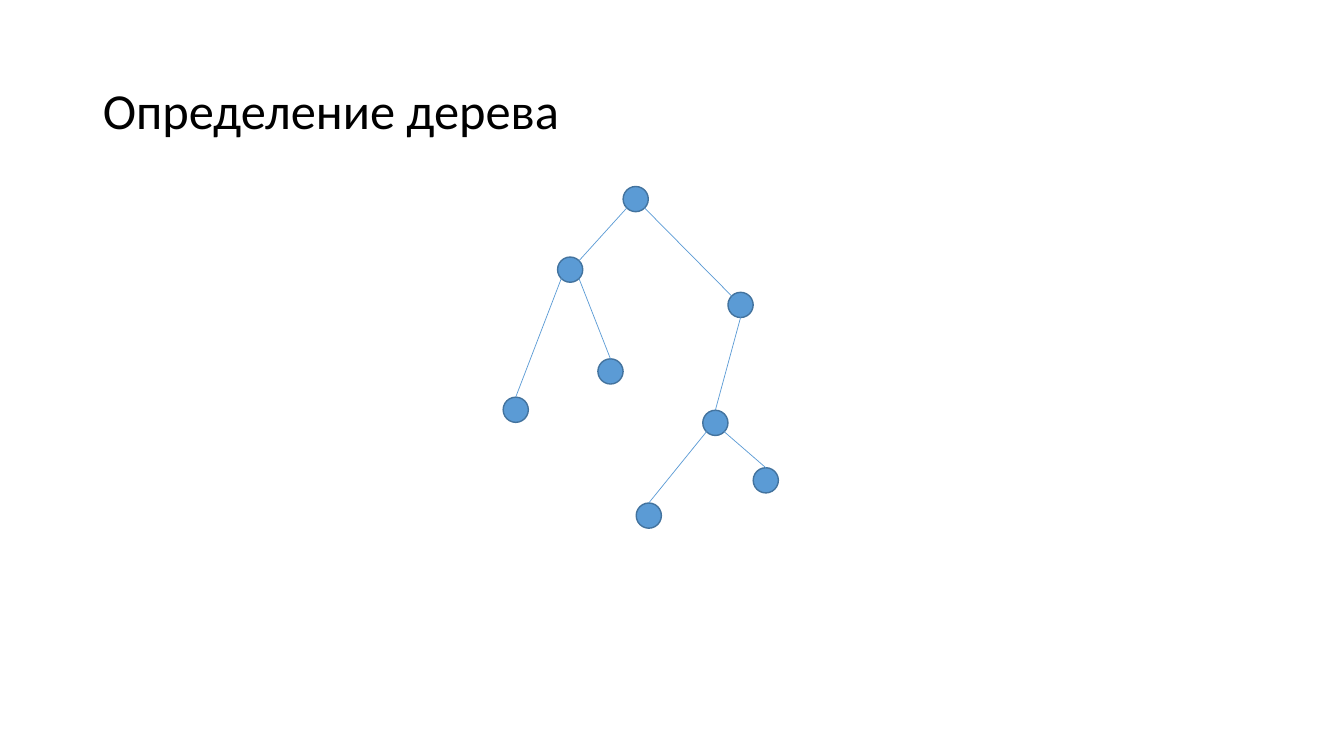
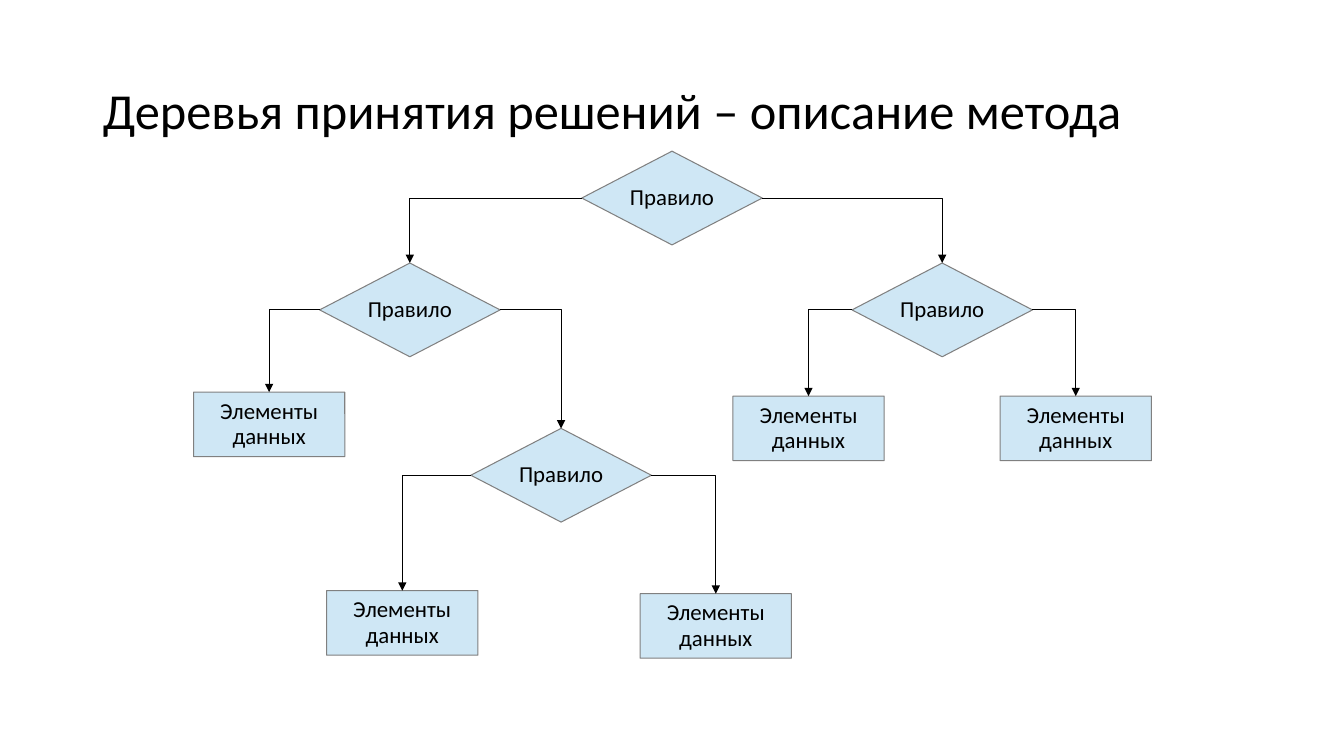
"""Build two slides: a plain tree of nodes and a decision tree."""
import lxml.etree
import pptx
import pptx.dml.color
import pptx.enum.shapes
import pptx.enum.text
import pptx.oxml.ns
import pptx.util

Inches = pptx.util.Inches
Pt = pptx.util.Pt
MSO_SHAPE = pptx.enum.shapes.MSO_SHAPE
MSO_CONNECTOR = pptx.enum.shapes.MSO_CONNECTOR
MSO_ANCHOR = pptx.enum.text.MSO_ANCHOR
PP_ALIGN = pptx.enum.text.PP_ALIGN
qn = pptx.oxml.ns.qn

FONT = "Calibri"
BLACK = "000000"
NODE_FILL, NODE_LINE = "5B9BD5", "43739E"
BOX_FILL, BOX_LINE = "CFE7F5", "808080"


def paint(item, line_colour, line_width, fill=None):
    """Set the line and fill of a shape or connector and drop its shadow."""
    item.line.color.rgb = pptx.dml.color.RGBColor.from_string(line_colour)
    item.line.width = Pt(line_width)
    if fill:
        item.fill.solid()
        item.fill.fore_color.rgb = pptx.dml.color.RGBColor.from_string(fill)
        item.shadow.inherit = False
    else:
        lxml.etree.SubElement(item._element.spPr, qn("a:effectLst"))


def write(shape, text, size, alignment, spacing):
    """Write one vertically centred paragraph into a shape."""
    frame = shape.text_frame
    frame.vertical_anchor = MSO_ANCHOR.MIDDLE
    paragraph = frame.paragraphs[0]
    paragraph.alignment = alignment
    paragraph.line_spacing = spacing
    run = paragraph.add_run()
    run.text = text
    run.font.name = FONT
    run.font.size = Pt(size)
    run.font.color.rgb = pptx.dml.color.RGBColor.from_string(BLACK)


presentation = pptx.Presentation()
presentation.slide_width = Inches(13.33)
presentation.slide_height = Inches(7.5)

slides = []
for heading in ("Определение дерева", "Деревья принятия решений – описание метода"):
    slide = presentation.slides.add_slide(presentation.slide_layouts[5])
    title = slide.shapes.title
    title.left, title.top = Inches(0.92), Inches(0.4)
    title.width, title.height = Inches(11.5), Inches(1.45)
    title.text_frame.word_wrap = True
    title.text_frame.auto_size = pptx.enum.text.MSO_AUTO_SIZE.NONE
    write(title, heading, 36, PP_ALIGN.LEFT, 0.9)
    slides.append(slide)
tree_slide, decision_slide = slides

NODE_SIZE = 0.25
nodes = {
    "root": (6.18, 1.85),
    "left": (5.53, 2.55),
    "left leaf": (4.99, 3.94),
    "middle leaf": (5.93, 3.56),
    "right": (7.22, 2.9),
    "fork": (6.97, 4.07),
    "fork left leaf": (6.31, 4.99),
    "fork right leaf": (7.47, 4.64),
}
rim_points = {
    "top": (0.5, 0),
    "bottom": (0.5, 1),
    "top left": (0.15, 0.15),
    "top right": (0.85, 0.15),
    "bottom left": (0.15, 0.85),
    "bottom right": (0.85, 0.85),
}
branches = [
    ("root", "bottom left", "left", "top right"),
    ("root", "bottom right", "right", "top left"),
    ("left", "bottom left", "left leaf", "top"),
    ("left", "bottom right", "middle leaf", "top"),
    ("right", "bottom", "fork", "top"),
    ("fork", "bottom left", "fork left leaf", "top"),
    ("fork", "bottom right", "fork right leaf", "top"),
]
for left, top in nodes.values():
    node = tree_slide.shapes.add_shape(
        MSO_SHAPE.FLOWCHART_CONNECTOR,
        Inches(left), Inches(top), Inches(NODE_SIZE), Inches(NODE_SIZE))
    paint(node, NODE_LINE, 1, NODE_FILL)
for parent, parent_side, child, child_side in branches:
    ends = []
    for name, side in ((parent, parent_side), (child, child_side)):
        for corner, share in zip(nodes[name], rim_points[side]):
            ends.append(Inches(corner + share * NODE_SIZE))
    branch = tree_slide.shapes.add_connector(MSO_CONNECTOR.STRAIGHT, *ends)
    paint(branch, NODE_FILL, 0.5)

rule_style = (MSO_SHAPE.DIAMOND, 1.79, 0.93, "Правило")
data_style = (MSO_SHAPE.ROUNDED_RECTANGLE, 1.5, 0.64, "Элементы данных")
boxes = {
    "root": (rule_style, 5.77, 1.5),
    "left rule": (rule_style, 3.17, 2.61),
    "right rule": (rule_style, 8.45, 2.61),
    "inner rule": (rule_style, 4.67, 4.25),
    "left data": (data_style, 1.92, 3.89),
    "inner left data": (data_style, 3.24, 5.86),
    "inner right data": (data_style, 6.35, 5.89),
    "right left data": (data_style, 7.27, 3.93),
    "right right data": (data_style, 9.92, 3.93),
}
decisions = {
    "root": ("left rule", "right rule"),
    "left rule": ("left data", "inner rule"),
    "right rule": ("right left data", "right right data"),
    "inner rule": ("inner left data", "inner right data"),
}
LEFT_SIDE, RIGHT_SIDE, TOP_SIDE = 1, 3, 0

drawn = {}
for name, (style, left, top) in boxes.items():
    kind, width, height, text = style
    box = decision_slide.shapes.add_shape(
        kind, Inches(left), Inches(top), Inches(width), Inches(height))
    paint(box, BOX_LINE, 0.75, BOX_FILL)
    if style is data_style:
        box.adjustments[0] = 0.002
    frame = box.text_frame
    frame.word_wrap = style is data_style
    frame.margin_left = frame.margin_right = Inches(0.09)
    frame.margin_top = frame.margin_bottom = Inches(0.04)
    write(box, text, 16.3, PP_ALIGN.CENTER, 0.93)
    drawn[name] = box

for parent, children in decisions.items():
    for side, child in zip((LEFT_SIDE, RIGHT_SIDE), children):
        arrow = decision_slide.shapes.add_connector(MSO_CONNECTOR.ELBOW, 0, 0, 0, 0)
        arrow.begin_connect(drawn[parent], side)
        arrow.end_connect(drawn[child], TOP_SIDE)
        paint(arrow, BLACK, 0.75)
        properties = arrow._element.spPr
        properties.find(qn("a:prstGeom")).set("prst", "bentConnector2")
        lxml.etree.SubElement(properties.find(qn("a:ln")), qn("a:tailEnd"), type="triangle")

presentation.save("out.pptx")
